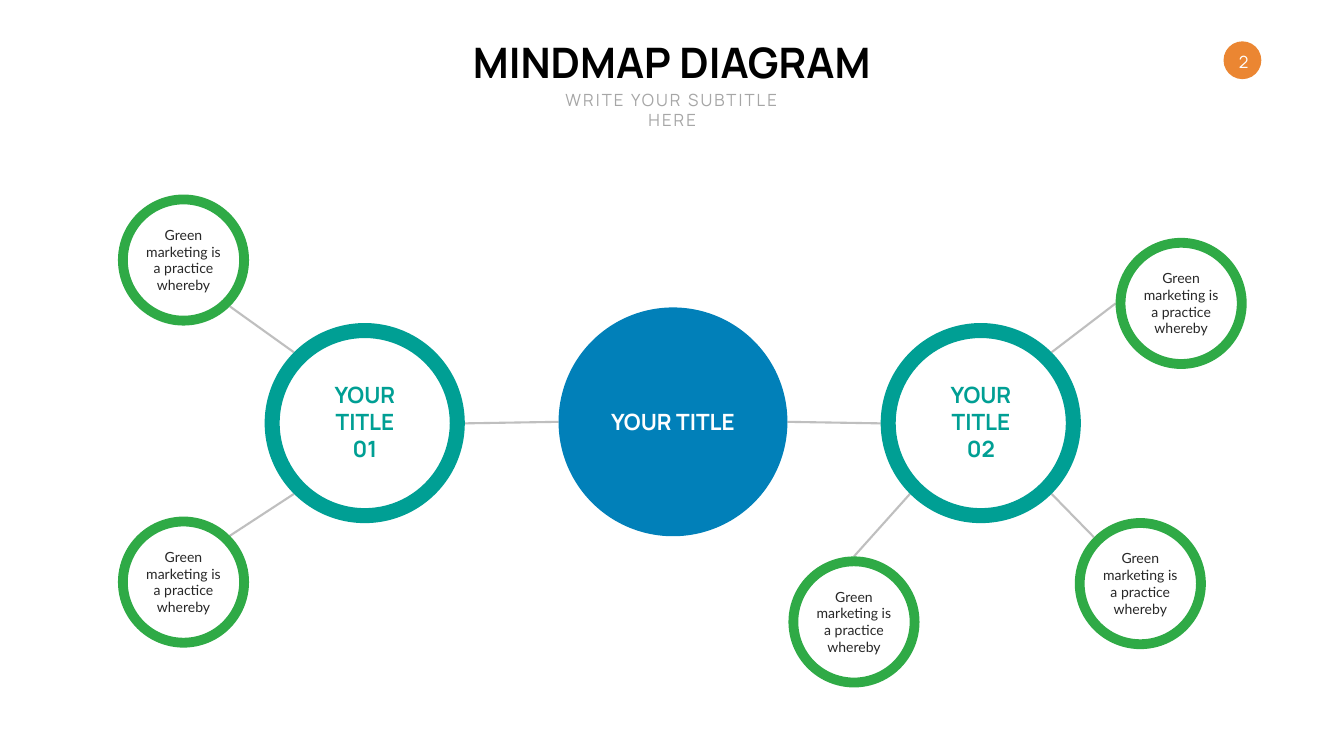
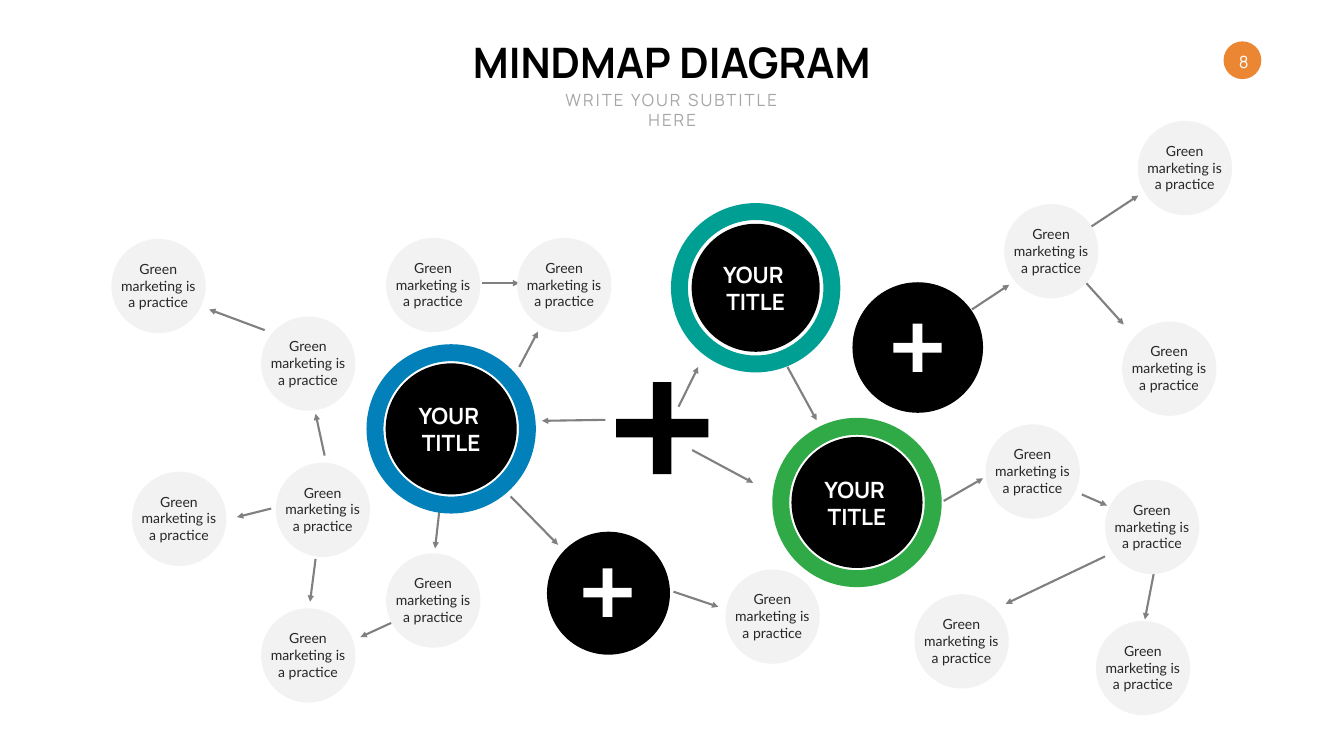
from math import cos, radians, sin

from lxml import etree
from pptx import Presentation
from pptx import util as u
from pptx.dml.color import RGBColor
from pptx.enum import shapes, text
from pptx.oxml import ns

PX = 9144
FONT, BODY = "Manrope", "Lato"
HUES = {
    "black": "000000", "white": "FFFFFF", "ink": "272727", "mute": "A6A6A6",
    "orange": "EB8632", "blue": "0180B9", "teal": "009F94", "green": "2FAA46",
    "pale": "F2F2F2", "link": "BFBFBF", "arrow": "808080",
}
KIND = shapes.MSO_SHAPE
MID, TOP = text.MSO_ANCHOR.MIDDLE, text.MSO_ANCHOR.TOP
FIT = text.MSO_AUTO_SIZE

DOT, DISC, RING = 187, 260, 336
DOTS = [
    (2257, 240), (1992, 405), (2226, 638), (2192, 952),
    (1955, 842), (1814, 1179), (766, 472), (2174, 1232),
    (1026, 472), (518, 628), (221, 474), (262, 936),
    (547, 918), (766, 1098), (518, 1207), (1439, 1130),
]
ARROWS = [
    (1928, 614, 2002, 565), (2164, 450, 2258, 388), (2155, 562, 2229, 644),
    (1346, 807, 1385, 728), (1872, 994, 1950, 949), (2146, 981, 2196, 1003),
    (2192, 1104, 1995, 1198), (2289, 1136, 2271, 1229), (1373, 893, 1494, 958),
    (1201, 833, 1075, 835), (1336, 1174, 1425, 1204), (1562, 728, 1620, 834),
    (872, 1009, 863, 1088), (1013, 985, 1107, 1081), (626, 1109, 615, 1194),
    (538, 1009, 470, 1026), (776, 1236, 715, 1264), (525, 655, 415, 614),
    (644, 904, 626, 821), (1030, 728, 1067, 658), (956, 562, 1030, 562),
]


def hue(name):
    return RGBColor.from_string(HUES[name])


def place(shape, box):
    shape.left, shape.top, shape.width, shape.height = [n * PX for n in box]


def write(shape, words, size=20, color="ink", font=BODY, bold=False,
          anchor=MID, fit=FIT.NONE, inset=None, gap=0):
    frame = shape.text_frame
    frame.text = words
    frame.word_wrap = True
    frame.auto_size = fit
    frame.vertical_anchor = anchor
    if inset is not None:
        frame.margin_left = frame.margin_right = inset
        frame.margin_top = frame.margin_bottom = inset
    for para in frame.paragraphs:
        para.alignment = text.PP_ALIGN.CENTER
        para.space_before = u.Pt(0)
        for run in para.runs:
            face = run.font
            face.name, face.size, face.bold = font, u.Pt(size), bold
            face.color.rgb = hue(color)
            if gap:
                run._r.get_or_add_rPr().set("spc", str(gap * 100))


def label(slide, words, box, **look):
    shape = slide.shapes.add_textbox(*[n * PX for n in box])
    write(shape, words, fit=FIT.SHAPE_TO_FIT_TEXT, **look)


def head(slide, words, box, color="white", **look):
    label(slide, words, box, size=32, color=color, font=FONT, bold=True, **look)


def solid(slide, kind, box, color, adjust=None):
    shape = slide.shapes.add_shape(kind, *[n * PX for n in box])
    shape.shadow.inherit = False
    shape.fill.solid()
    shape.fill.fore_color.rgb = hue(color)
    shape.line.fill.background()
    if adjust is not None:
        shape.adjustments[0] = adjust
    return shape


def disc(slide, x, y, size, color):
    return solid(slide, KIND.OVAL, (x, y, size, size), color)


def ring(slide, x, y, size, color, band):
    solid(slide, KIND.DONUT, (x, y, size, size), color, band)


def plus(slide, x, y, size, color):
    solid(slide, KIND.CROSS, (x, y, size, size), color, 0.4)


def link(slide, ends, color, tip=False):
    line = slide.shapes.add_connector(
        shapes.MSO_CONNECTOR.STRAIGHT, *[n * PX for n in ends])
    line.line.color.rgb = hue(color)
    line.line.width = u.Pt(3)
    if tip:
        edge = line.line._get_or_add_ln()
        etree.SubElement(edge, ns.qn("a:tailEnd"), type="triangle")
    etree.SubElement(line._element.spPr, ns.qn("a:effectLst"))


def rim(circle, angle):
    x, y, size = circle
    half, turn = size / 2, radians(angle)
    return round(x + half + half * cos(turn)), round(y + half + half * sin(turn))


def start(deck, number):
    slide = deck.slides.add_slide(deck.slide_layouts[0])
    title, sub = slide.placeholders
    place(title, (901, 67, 863, 111))
    write(title, "MINDMAP DIAGRAM", size=60, color="black", font=FONT,
          bold=True, anchor=TOP)
    place(sub, (1062, 172, 543, 50))
    write(sub, "WRITE YOUR SUBTITLE HERE", size=24, color="mute", font=FONT,
          anchor=TOP, gap=3)
    disc(slide, 2427, 82, 75, "orange")
    badge = disc(slide, 2432, 87, 70, "orange")
    badge.fill.background()
    write(badge, number, size=24, color="white", font=FONT, inset=0)
    return slide


def hubs(deck):
    slide = start(deck, "2")
    core = (1108, 610, 454)
    west, east = (525, 641, 397), (1747, 641, 397)
    leaves = [(234, 386, 260), (234, 1025, 260), (2213, 472, 260),
              (2132, 1028, 260), (1564, 1104, 260)]
    joins = [
        (leaves[0], 45, west, 225), (leaves[1], 315, west, 135),
        (east, 45, leaves[3], 225), (east, 135, leaves[4], 270),
        (leaves[2], 180, east, 315), (core, 0, east, 180), (west, 0, core, 180),
    ]
    for one, out, two, into in joins:
        link(slide, rim(one, out) + rim(two, into), "link")
    disc(slide, *core, "blue")
    for hub in (west, east):
        ring(slide, *hub, "teal", 0.075)
    head(slide, "YOUR TITLE", (1201, 805, 268, 64))
    head(slide, "YOUR\nTITLE 02", (1848, 778, 196, 118), "teal")
    head(slide, "YOUR\nTITLE 01", (630, 778, 188, 118), "teal")
    for x, y, size in leaves:
        ring(slide, x, y, size, "green", 0.075)
        label(slide, "Green marketing is a practice whereby",
              (x + 38, y + 57, 184, 145))


def web(deck):
    slide = start(deck, "8")
    for ends in ARROWS:
        link(slide, ends, "arrow", tip=True)
    for x, y in DOTS:
        disc(slide, x, y, DOT, "pale")
        label(slide, "Green marketing is a practice", (x + 6, y + 37, 174, 111))
    for x, y, size, color in [(1331, 403, 254, "teal"), (727, 683, DISC, "blue"),
                              (1532, 829, DISC, "green")]:
        inner = (RING - size) // 2
        disc(slide, x + inner, y + inner, size, "black")
        ring(slide, x, y, RING, color, 0.1)
        head(slide, "YOUR \nTITLE", (x + 90, y + 110, 156, 118), anchor=TOP)
    for x, y, size in [(1085, 1055, 244), (1691, 560, 259)]:
        disc(slide, x, y, size, "black")
    plus(slide, 1222, 758, 183, "black")
    for x, y in [(1157, 1128), (1772, 642)]:
        plus(slide, x, y, 96, "white")


def main():
    deck = Presentation()
    deck.slide_width, deck.slide_height = 2666 * PX, 1500 * PX
    hubs(deck)
    web(deck)
    deck.save("out.pptx")


if __name__ == "__main__":
    main()
